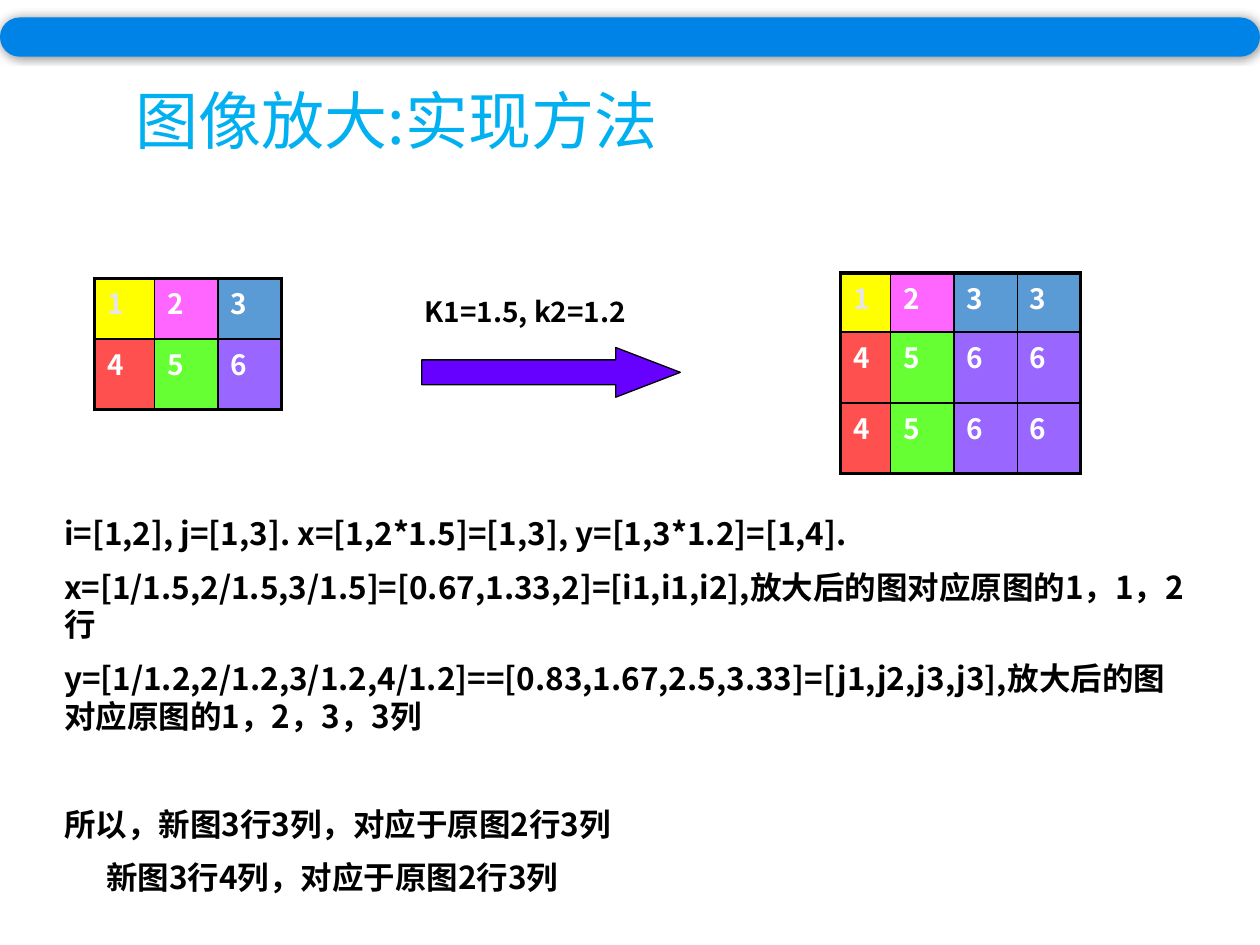
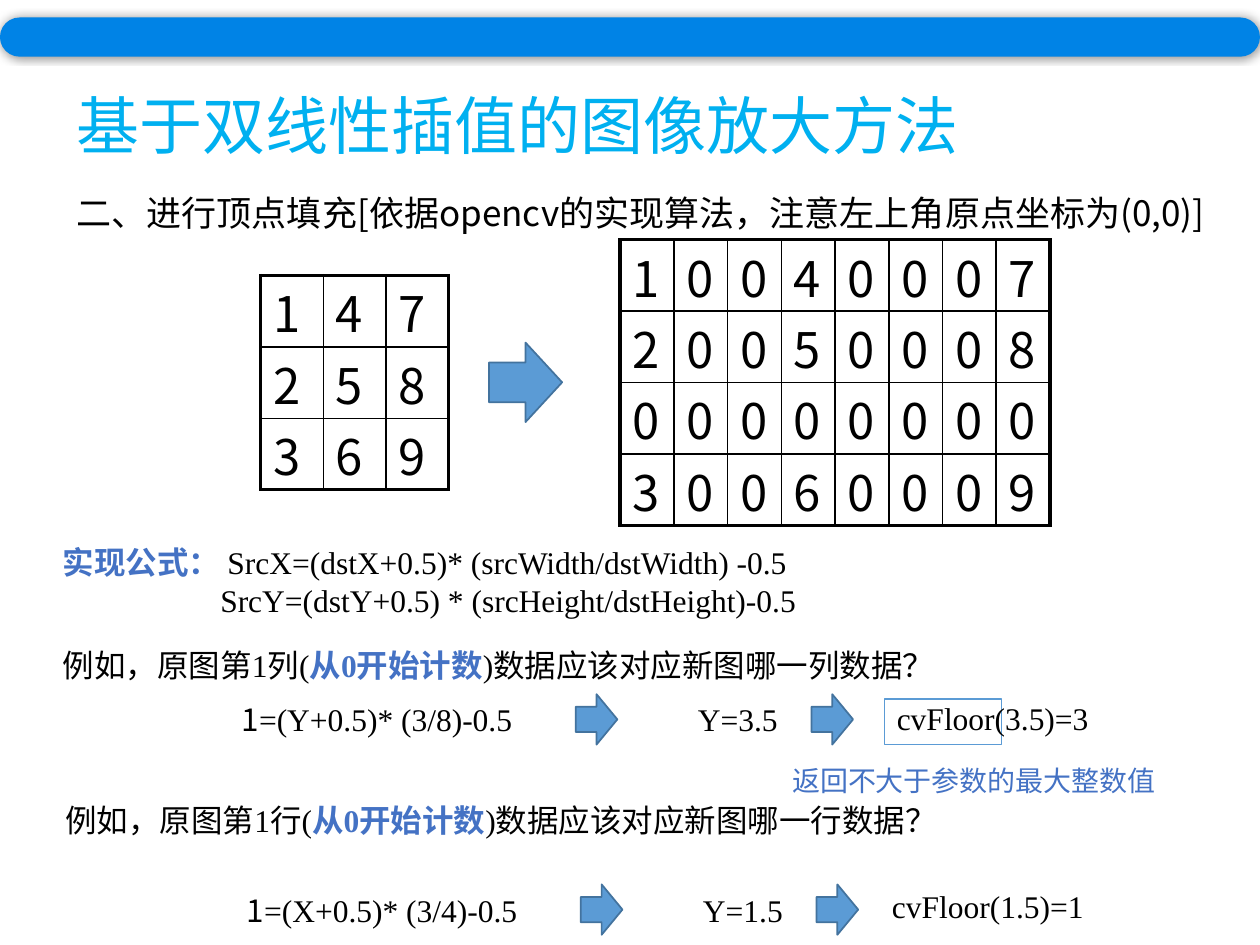
from lxml.etree import SubElement
from pptx import Presentation
from pptx.dml.color import RGBColor
from pptx.enum.shapes import MSO_SHAPE as Preset
from pptx.enum.text import MSO_ANCHOR as Anchor
from pptx.oxml.ns import qn
from pptx.util import Pt

CJK, SERIF = "Noto Sans CJK SC", "Times New Roman"
BLACK = RGBColor(0, 0, 0)
WHITE = RGBColor(255, 255, 255)
PALE = RGBColor(0xE7, 0xE6, 0xE6)
TITLE_BLUE = RGBColor(0x00, 0xB0, 0xF0)
BAND_BLUE = RGBColor(0x00, 0x83, 0xE6)
NOTE_BLUE = RGBColor(0x44, 0x72, 0xC4)
ARROW_BLUE = RGBColor(0x5B, 0x9B, 0xD5)
ARROW_EDGE = RGBColor(0x43, 0x73, 0x9E)
VIOLET = RGBColor(0x66, 0x00, 0xFF)
PIXEL_FILLS = {
    "1": RGBColor(0xFF, 0xFF, 0x00), "2": RGBColor(0xFF, 0x66, 0xFF),
    "3": ARROW_BLUE, "4": RGBColor(0xFF, 0x50, 0x50),
    "5": RGBColor(0x66, 0xFF, 0x33), "6": RGBColor(0x99, 0x66, 0xFF),
}

# Content: slide 1
SCALING_TITLE = "图像放大:实现方法"
FACTORS = "K1=1.5, k2=1.2"
SMALL_PIXELS = ["123", "456"]
LARGE_PIXELS = ["1233", "4566", "4566"]
# text, space before, left indent
DERIVATION = [
    ("i=[1,2], j=[1,3]. x=[1,2*1.5]=[1,3], y=[1,3*1.2]=[1,4].", 0, 0),
    ("x=[1/1.5,2/1.5,3/1.5]=[0.67,1.33,2]=[i1,i1,i2],放大后的图对应原图的1，1，2行", 9, 0),
    ("y=[1/1.2,2/1.2,3/1.2,4/1.2]==[0.83,1.67,2.5,3.33]=[j1,j2,j3,j3],"
     "放大后的图对应原图的1，2，3，3列", 9, 0),
    ("所以，新图3行3列，对应于原图2行3列", 40, 0),
    ("新图3行4列，对应于原图2行3列", 9, 24),
]

# Content: slide 2
BILINEAR_TITLE = "基于双线性插值的图像放大方法"
STEP = "二、进行顶点填充[依据opencv的实现算法，注意左上角原点坐标为(0,0)]"
SOURCE_GRID = ["147", "258", "369"]
FILLED_GRID = ["10040007", "20050008", "00000000", "30060009"]
FORMULA_LABEL = "实现公式："
FORMULAS = ["SrcX=(dstX+0.5)* (srcWidth/dstWidth) -0.5",
            "SrcY=(dstY+0.5) * (srcHeight/dstHeight)-0.5"]
COUNTING = "从0开始计数"
FLOOR_NOTE = "返回不大于参数的最大整数值"
# Each example: left shift, question top, steps top, result left and top, then wording
EXAMPLES = [
    (0, 365.8, 396.7, 505.4, 396, "列", "=(Y+0.5)* (3/8)-0.5", "Y=3.5", "cvFloor(3.5)=3"),
    (2.9, 454.3, 505.4, 502.6, 503.3, "行", "=(X+0.5)* (3/4)-0.5", "Y=1.5", "cvFloor(1.5)=1"),
]


def points(*lengths):
    return [Pt(length) for length in lengths]


def style(run, size, font, color, bold):
    run.font.size, run.font.name = Pt(size), font
    run.font.color.rgb, run.font.bold = color, bold
    SubElement(run.font._element, qn("a:ea"), typeface=CJK)


def add_text(slide, place, paragraphs, size, font=CJK, color=BLACK, bold=False,
             anchor=Anchor.TOP, line=None):
    """A paragraph is (runs, space before, indent); a run is (text, overrides)."""
    frame = slide.shapes.add_textbox(*points(*place)).text_frame
    frame.word_wrap, frame.vertical_anchor = True, anchor
    for i, (runs, before, indent) in enumerate(paragraphs):
        paragraph = frame.add_paragraph() if i else frame.paragraphs[0]
        if indent:
            paragraph._p.get_or_add_pPr().set("marL", str(Pt(indent)))
        paragraph.line_spacing = line or Pt(1.2 * size)
        paragraph.space_before = Pt(before)
        for text, overrides in runs:
            run = paragraph.add_run()
            run.text = text
            style(run, **{"size": size, "font": font, "color": color, "bold": bold,
                          **overrides})


def add_line(slide, place, text, size, **look):
    add_text(slide, place, [([(text, {})], 0, 0)], size, **look)


def add_block(slide, preset, place, fill, edge=None, width=1, adjust=()):
    block = slide.shapes.add_shape(preset, *points(*place))
    block.shadow.inherit = False
    block.fill.solid()
    block.fill.fore_color.rgb = fill
    if edge is None:
        block.line.fill.background()
    else:
        block.line.color.rgb, block.line.width = edge, Pt(width)
    for i, value in enumerate(adjust):
        block.adjustments[i] = value
    return block


def add_band(slide):
    band = add_block(slide, Preset.ROUNDED_RECTANGLE, (0, 10, 720, 22.4), BAND_BLUE,
                     adjust=[0.5])
    effects = band._element.spPr.find(qn("a:effectLst"))
    shadow = SubElement(effects, qn("a:outerShdw"), blurRad=str(Pt(5)), dist="0", dir="0",
                        algn="ctr", rotWithShape="0")
    black = SubElement(shadow, qn("a:srgbClr"), val="000000")
    SubElement(black, qn("a:alpha"), val="40000")


def add_title(slide, place, text):
    add_line(slide, place, text, 36, color=TITLE_BLUE, anchor=Anchor.MIDDLE, line=0.9)


def add_border(cell, side, width):
    edge = SubElement(cell._tc.get_or_add_tcPr(), qn("a:ln" + side), w=str(Pt(width)))
    SubElement(SubElement(edge, qn("a:solidFill")), qn("a:srgbClr"), val="000000")


def add_grid(slide, left, top, rows, widths, heights, size, fills=None):
    last_row, last_column = len(rows) - 1, len(widths) - 1
    table = slide.shapes.add_table(len(rows), len(widths), *points(
        left, top, sum(widths), sum(heights))).table
    table.first_row = table.horz_banding = False
    for column, width in zip(table.columns, widths):
        column.width = Pt(width)
    for r, digits in enumerate(rows):
        table.rows[r].height = Pt(heights[r])
        for c, digit in enumerate(digits):
            cell = table.cell(r, c)
            outer = {"L": c == 0, "R": c == last_column, "T": r == 0, "B": r == last_row}
            for side, is_outer in outer.items():
                add_border(cell, side, 2.25 if is_outer else 1)
            paragraph = cell.text_frame.paragraphs[0]
            paragraph.text = digit
            paragraph.line_spacing = Pt(1.2 * size)
            color = BLACK
            if fills:
                cell.margin_top = Pt(6)
                cell.fill.solid()
                cell.fill.fore_color.rgb = fills[digit]
                color = PALE if digit == "1" else WHITE
            else:
                cell.margin_top = cell.margin_bottom = 0
                cell.vertical_anchor = Anchor.BOTTOM
                cell.fill.background()
            style(paragraph.runs[0], size, CJK, color, bool(fills))


def build_scaling(slide):
    add_block(slide, Preset.RIGHT_ARROW, (241, 198.6, 147.8, 28.4), VIOLET, BLACK, 0.75,
              [0.5, 1.3])
    add_line(slide, (235.6, 165, 158.4, 26.6), FACTORS, 16, bold=True)
    add_grid(slide, 480.4, 156, LARGE_PIXELS, [28.6] + [36.2] * 3, [33.8, 40.5, 40.5], 16,
             PIXEL_FILLS)
    add_text(slide, (29.5, 290.2, 661, 268.6),
             [([(text, {})], before, indent) for text, before, indent in DERIVATION],
             18, bold=True)
    add_grid(slide, 54, 159.2, SMALL_PIXELS, [34.4, 36.2, 36.2], [34.6, 40.2], 16,
             PIXEL_FILLS)
    add_title(slide, (70.6, 25.9, 612, 90), SCALING_TITLE)
    add_band(slide)


def build_bilinear(slide):
    add_block(slide, Preset.RECTANGLE, (505.4, 399.6, 67, 25.9), WHITE, ARROW_BLUE)
    add_title(slide, (36.7, 41.8, 609.8, 64), BILINEAR_TITLE)
    add_line(slide, (36.7, 105.8, 687.6, 31.7), STEP, 20)
    add_band(slide)

    # Formulas
    label = (FORMULA_LABEL + " ", {"color": NOTE_BLUE, "bold": True})
    add_text(slide, (28.8, 306.7, 515.5, 72.7),
             [([label, (FORMULAS[0], {})], 0, 0), ([(FORMULAS[1], {})], 0, 90)],
             18, font=SERIF)

    # Grids before and after filling
    add_grid(slide, 149, 157.5, SOURCE_GRID, [35.8] * 3, [40.8] * 3, 28)
    add_grid(slide, 354.4, 137, FILLED_GRID, [30.7] * 8, [40.8] * 4, 28)
    add_block(slide, Preset.RIGHT_ARROW, (279.4, 195.8, 41.8, 45.4), ARROW_BLUE, ARROW_EDGE)

    # Worked examples
    for shift, question_top, top, result_left, result_top, axis, equation, root, result in EXAMPLES:
        question = [(f"例如，原图第1{axis}(", {}),
                    (COUNTING, {"color": NOTE_BLUE, "bold": True}),
                    (f")数据应该对应新图哪一{axis}数据？", {})]
        add_text(slide, (28.8 + shift / 2, question_top, 512.6, 51), [(question, 0, 0)],
                 18, font=SERIF)
        add_text(slide, (131 + shift, top, 175, 28.8),
                 [([("1", {"font": CJK}), (equation, {})], 0, 0)], 18, font=SERIF)
        add_line(slide, (391.7 + shift, top, 62, 28.8), root, 18, font=SERIF)
        add_line(slide, (result_left, result_top, 200, 28.8), result, 18, font=SERIF)
        for left in (329, 463.7):
            add_block(slide, Preset.RIGHT_ARROW, (left + shift, top, 23.8, 28.8),
                      ARROW_BLUE, ARROW_EDGE)
    add_line(slide, (445.7, 432.7, 272, 26.6), FLOOR_NOTE, 16, color=NOTE_BLUE)


def main():
    deck = Presentation()
    deck.slide_width, deck.slide_height = Pt(720), Pt(540)
    for build in (build_scaling, build_bilinear):
        build(deck.slides.add_slide(deck.slide_layouts[6]))
    deck.save("out.pptx")


if __name__ == "__main__":
    main()
